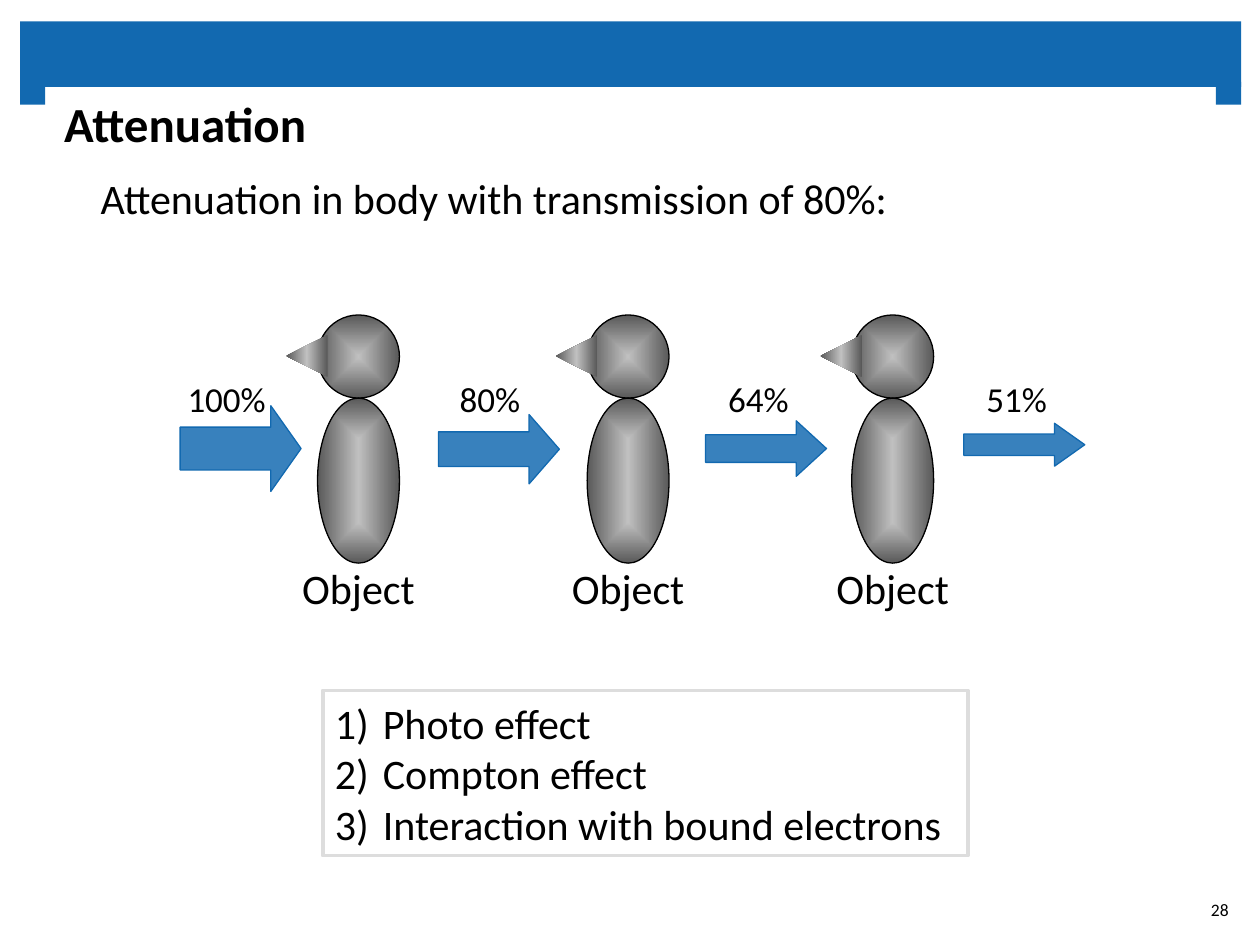
import pptx
import pptx.util
import pptx.dml.color
import pptx.enum.shapes
import pptx.enum.text
import pptx.oxml.ns
from dataclasses import dataclass
from lxml import etree

Inches = pptx.util.Inches
Pt = pptx.util.Pt
Kind = pptx.enum.shapes.MSO_SHAPE
Align = pptx.enum.text.PP_ALIGN
Anchor = pptx.enum.text.MSO_ANCHOR
Fit = pptx.enum.text.MSO_AUTO_SIZE
qn = pptx.oxml.ns.qn


@dataclass(frozen=True)
class Theme:
    font: str = "Calibri"
    ink: str = "000000"
    band: str = "1269B0"
    beam: str = "3881BD"
    frame: str = "DDDDDD"
    light: str = "C0C0C0"
    dark: str = "595959"
    head: int = 28
    body: int = 24
    label: int = 20
    note: int = 10


THEME = Theme()


def tint(code):
    return pptx.dml.color.RGBColor.from_string(code)


def style(frame, size, bold=False, align=Align.LEFT):
    for para in frame.paragraphs:
        para.alignment = align
        for run in para.runs:
            run.font.name = THEME.font
            run.font.size = Pt(size)
            run.font.bold = bold
            run.font.color.rgb = tint(THEME.ink)


def inset(frame, left, top, right, base):
    frame.margin_left, frame.margin_top = Inches(left), Inches(top)
    frame.margin_right, frame.margin_bottom = Inches(right), Inches(base)


def add_shape(slide, kind, box, fill=None, line=None, width=0.75):
    shape = slide.shapes.add_shape(kind, *map(Inches, box))
    shape.shadow.inherit = False
    if fill:
        shape.fill.solid()
        shape.fill.fore_color.rgb = tint(fill)
    else:
        shape.fill.background()
    if line:
        shape.line.color.rgb = tint(line)
        shape.line.width = Pt(width)
    else:
        shape.line.fill.background()
    return shape


def shade(shape, stops, radial):
    props = shape.fill._xPr
    grad = etree.Element(qn("a:gradFill"), rotWithShape="1")
    props.replace(props.find(qn("a:noFill")), grad)
    row = etree.SubElement(grad, qn("a:gsLst"))
    for pos, code in stops:
        stop = etree.SubElement(row, qn("a:gs"), pos=str(pos * 1000))
        etree.SubElement(stop, qn("a:srgbClr"), val=code)
    if radial:
        route = etree.SubElement(grad, qn("a:path"))
        route.set("path", "shape")
        sides = dict.fromkeys("ltrb", "50000")
        etree.SubElement(route, qn("a:fillToRect"), **sides)
    else:
        etree.SubElement(grad, qn("a:lin"), ang="5400000", scaled="1")


def add_text(slide, text, box, size):
    frame = slide.shapes.add_textbox(*map(Inches, box)).text_frame
    frame.text = text
    frame.word_wrap = False
    frame.auto_size = Fit.SHAPE_TO_FIT_TEXT
    style(frame, size)
    return frame


def add_band(slide):
    for box in ((0.16, 0.17, 9.69, 0.52), (0.16, 0.65, 0.2, 0.18), (9.65, 0.65, 0.2, 0.18)):
        add_shape(slide, Kind.RECTANGLE, box, THEME.band)


def add_title(slide, text):
    title = slide.shapes.title
    title.left, title.top = Inches(0.35), Inches(0.68)
    title.width, title.height = Inches(9.29), Inches(0.64)
    frame = title.text_frame
    frame.text = text
    frame.vertical_anchor = Anchor.TOP
    inset(frame, 0.16, 0.06, 0.16, 0)
    style(frame, THEME.head, bold=True)


def add_bird(slide, left):
    for top, height in ((2.5, 0.66), (3.16, 1.31)):
        part = add_shape(slide, Kind.OVAL, (left, top, 0.65, height), line=THEME.ink)
        shade(part, [(0, THEME.light), (100, THEME.dark)], True)
    beak = add_shape(slide, Kind.ISOSCELES_TRIANGLE, (left - 0.25, 2.66, 0.33, 0.33))
    beak.rotation = 270
    shade(beak, [(0, THEME.dark), (50, THEME.light), (100, THEME.dark)], False)
    name = add_shape(slide, Kind.OVAL, (left - 0.78, 4.34, 2.21, 0.65))
    frame = name.text_frame
    frame.text = "Object"
    frame.vertical_anchor = Anchor.MIDDLE
    inset(frame, 0, 0, 0, 0)
    style(frame, THEME.body, align=Align.CENTER)


def add_beam(slide, left, top, height):
    box = (left, top, 0.96, height)
    arrow = add_shape(slide, Kind.RIGHT_ARROW, box, THEME.beam, THEME.band)
    arrow.adjustments[0] = 0.5
    arrow.adjustments[1] = 0.24 / height


def add_list(slide, items):
    box = add_shape(slide, Kind.RECTANGLE, (2.56, 5.48, 5.12, 1.31), line=THEME.frame, width=2.25)
    frame = box.text_frame
    frame.text = "\n".join(items)
    frame.word_wrap = False
    frame.auto_size = Fit.SHAPE_TO_FIT_TEXT
    for para in frame.paragraphs:
        props = para._p.get_or_add_pPr()
        props.set("marL", str(Inches(0.38)))
        props.set("indent", str(-Inches(0.38)))
        etree.SubElement(props, qn("a:buFont"), typeface=THEME.font)
        etree.SubElement(props, qn("a:buAutoNum"), type="arabicParenR")
    style(frame, THEME.body)


def add_number(slide, text):
    frame = add_text(slide, text, (9.42, 7.02, 0.43, 0.4), THEME.note)
    frame.auto_size = Fit.NONE
    frame.word_wrap = True
    frame.vertical_anchor = Anchor.MIDDLE
    style(frame, THEME.note, align=Align.RIGHT)


def main():
    deck = pptx.Presentation()
    deck.slide_width, deck.slide_height = Inches(10), Inches(7.5)
    slide = deck.slides.add_slide(deck.slide_layouts[5])
    add_band(slide)
    add_title(slide, "Attenuation")
    intro = "Attenuation in body with transmission of 80%:"
    add_text(slide, intro, (0.7, 1.32, 6.69, 0.5), THEME.body)
    for left in (2.52, 4.66, 6.76):
        add_bird(slide, left)
    beams = (
        ("100%", 1.39, 0.83, 1.43, 3.22, 0.68),
        ("80%", 3.55, 0.69, 3.48, 3.29, 0.55),
        ("64%", 5.68, 0.69, 5.6, 3.34, 0.44),
        ("51%", 7.73, 0.69, 7.65, 3.36, 0.34),
    )
    for text, start, width, left, top, height in beams:
        add_beam(slide, left, top, height)
        add_text(slide, text, (start, 2.95, width, 0.44), THEME.label)
    add_list(slide, ("Photo effect", "Compton effect", "Interaction with bound electrons"))
    add_number(slide, "28")
    deck.save("out.pptx")


if __name__ == "__main__":
    main()
